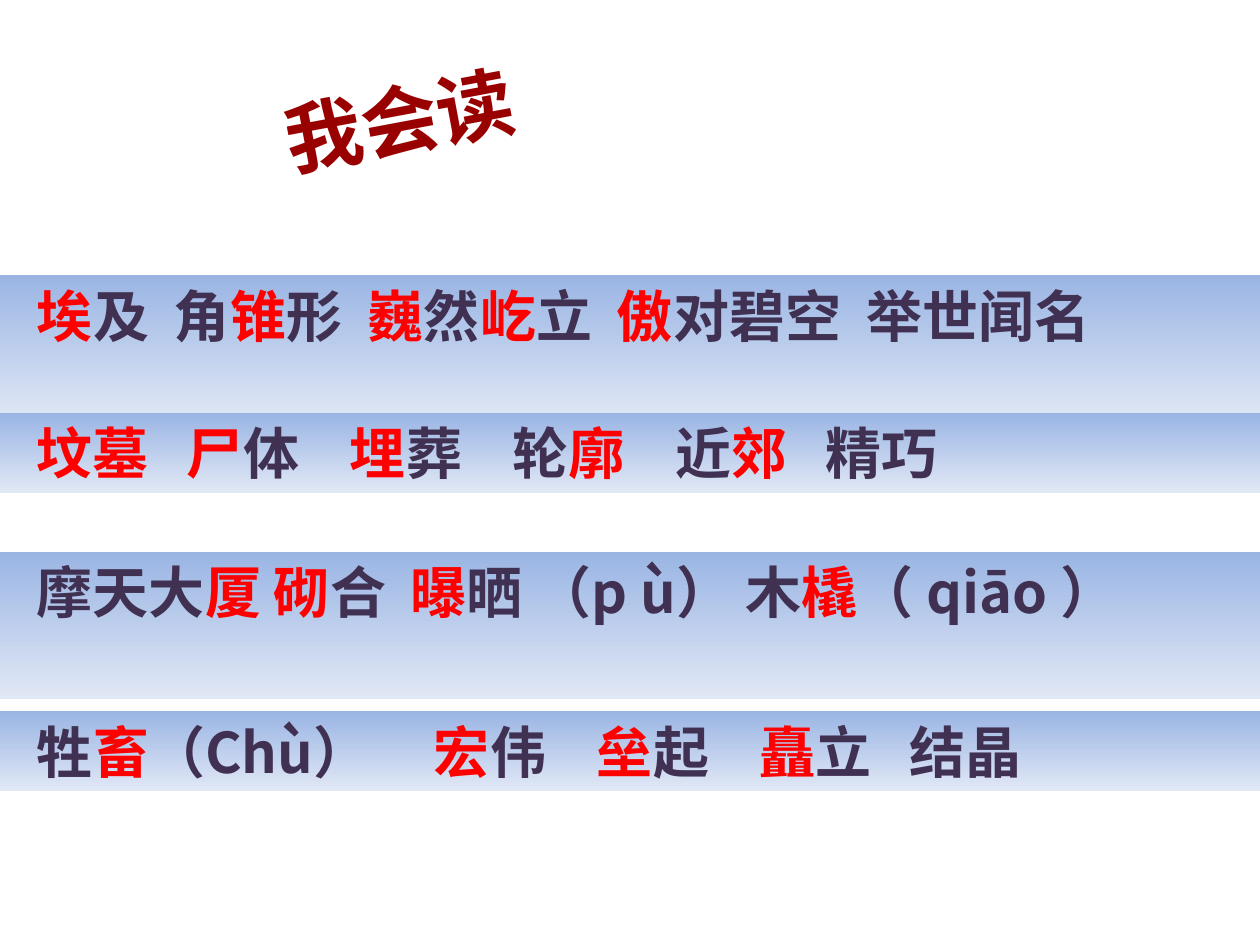
from pptx import Presentation
from pptx.dml.color import RGBColor
from pptx.enum.shapes import MSO_SHAPE
from pptx.enum.text import MSO_ANCHOR, MSO_AUTO_SIZE, PP_ALIGN
from pptx.oxml.ns import qn
from pptx.util import Pt
from lxml import etree

PX = 914400 // 126
RECT = MSO_SHAPE.RECTANGLE
TOP, LEFT, NO_FIT = MSO_ANCHOR.TOP, PP_ALIGN.LEFT, MSO_AUTO_SIZE.NONE

TITLE_RED = RGBColor(0x99, 0x00, 0x00)
KEY_RED = RGBColor(0xFF, 0x00, 0x00)
INK = RGBColor(0x40, 0x31, 0x52)
BAND_TOP = RGBColor(0x9A, 0xB5, 0xE4)
BAND_BOTTOM = RGBColor(0xE1, 0xE8, 0xF5)
CJK_FONT = "Noto Sans CJK SC"

INDENT = 37  # left edge of the words in every band

# Top, height, words (new characters in brackets), left edges of words 2, 3, ...
BANDS = [
    (275, 147, ["[埃]及", "角[锥]形", "[巍]然[屹]立", "[傲]对碧空", "举世闻名"],
     [174, 368, 617, 867]),
    (413, 80, ["[坟墓]", "[尸]体", "[埋]葬", "轮[廓]", "近[郊]", "精巧"],
     [187, 350, 513, 676, 826]),
    (552, 147, ["摩天大[厦 砌]合", "[曝]晒 （p ù） 木[橇]（ qiāo ）"], [411]),
    (711, 80, ["牲[畜]（Chù）", "[宏]伟", "[垒]起", "[矗]立", "结晶"],
     [434, 597, 760, 910]),
]


def px(*values):
    return [v * PX for v in values]


def set_frame(tf, left_inset):
    tf.auto_size = NO_FIT
    tf.word_wrap = True
    tf.vertical_anchor = TOP
    tf.margin_left, tf.margin_right = px(left_inset, 13)
    tf.margin_top, tf.margin_bottom = px(6, 6)


def add_title(s, text, box):
    sp = s.shapes.title
    sp.left, sp.top, sp.width, sp.height = px(*box)
    sp.rotation = -10.6
    tf = sp.text_frame
    set_frame(tf, 13)
    tf.text = text
    p = tf.paragraphs[0]
    p.alignment = LEFT
    font = p.runs[0].font
    font.name, font.size, font.bold = "Arial", Pt(44), True
    font.color.rgb = TITLE_RED


def add_tab_stops(p, positions):
    tabs = etree.SubElement(p._p.get_or_add_pPr(), qn("a:tabLst"))
    for pos in positions:
        etree.SubElement(tabs, qn("a:tab"), pos=str(pos * PX), algn="l")


def add_run(p, text, color):
    r = p.add_run()
    r.text = text
    font = r.font
    font.name, font.size, font.bold = CJK_FONT, Pt(32), True
    font.color.rgb = color
    etree.SubElement(r._r.get_or_add_rPr(), qn("a:ea"), typeface=CJK_FONT)


def add_band(s, box, words, stops):
    sp = s.shapes.add_shape(RECT, *px(*box))
    sp.shadow.inherit = False
    sp.line.fill.background()
    sp.fill.gradient()
    sp.fill.gradient_angle = 270
    for stop, color in zip(sp.fill.gradient_stops, (BAND_TOP, BAND_BOTTOM)):
        stop.color.rgb = color

    set_frame(sp.text_frame, INDENT)
    p = sp.text_frame.paragraphs[0]
    p.alignment = LEFT
    add_tab_stops(p, [x - box[0] - INDENT for x in stops])
    # Brackets alternate between plain and highlighted text
    pieces = "\t".join(words).replace("]", "[").split("[")
    for i, piece in enumerate(pieces):
        if piece:
            add_run(p, piece, KEY_RED if i % 2 else INK)


def main():
    prs = Presentation()
    prs.slide_width, prs.slide_height = px(1260, 945)
    s = prs.slides.add_slide(prs.slide_layouts[5])
    add_title(s, "我会读", (270, 58, 357, 106))
    for top, height, words, stops in BANDS:
        add_band(s, (0, top, 1260, height), words, stops)
    prs.save("out.pptx")


if __name__ == "__main__":
    main()
